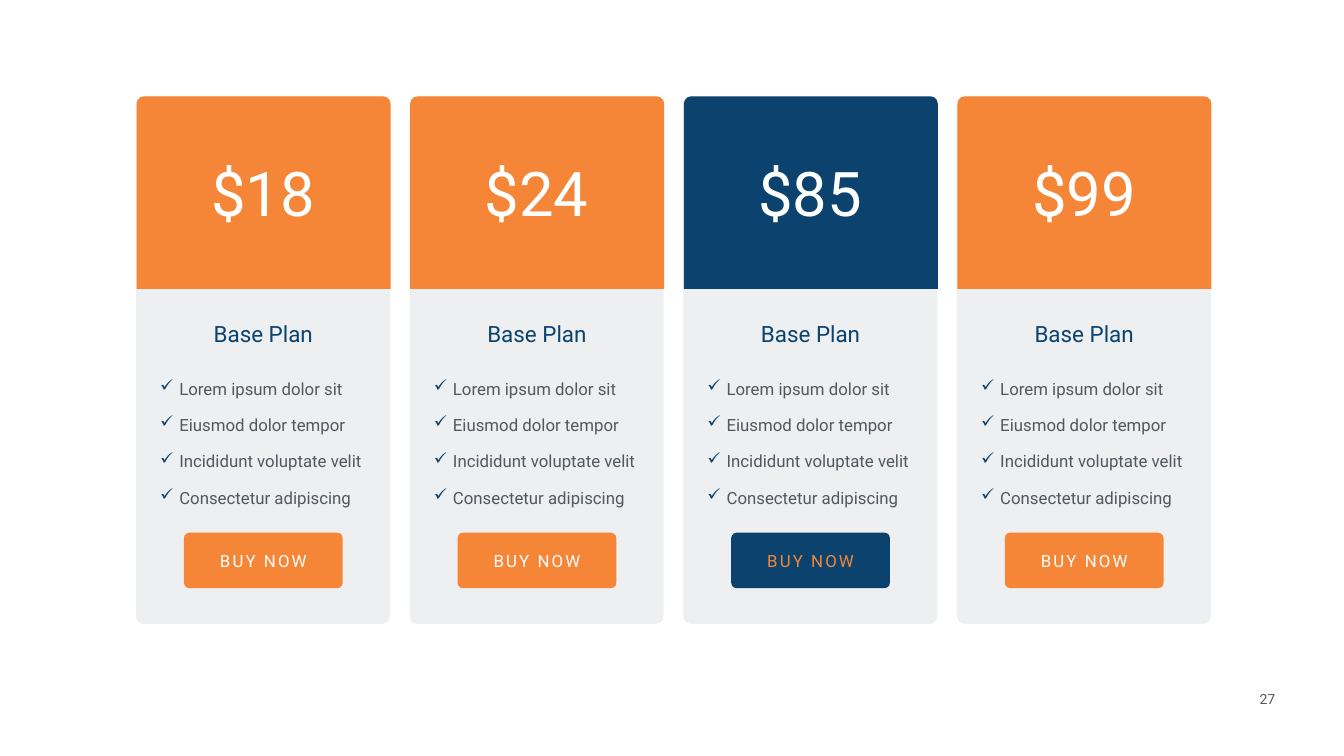
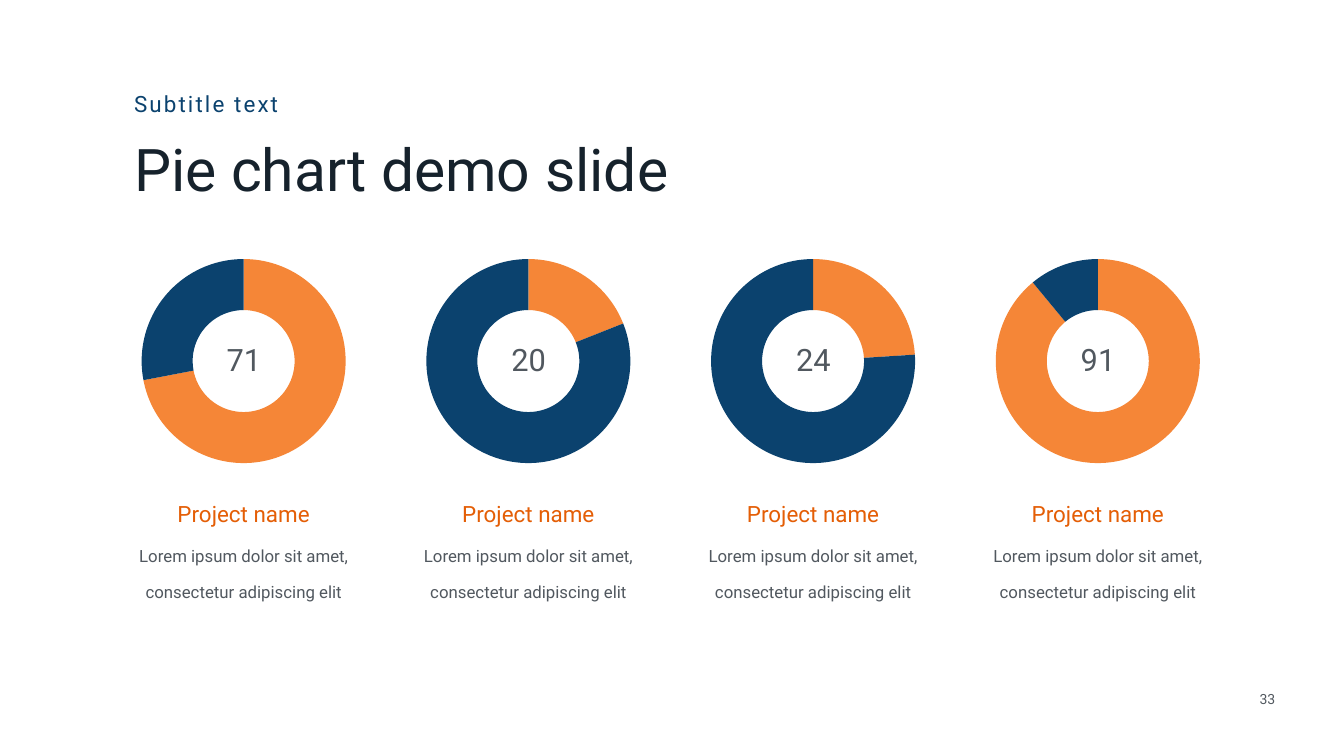
"""Build a pricing slide and a doughnut chart slide, each on four equal columns."""
from dataclasses import dataclass
from typing import NamedTuple

from lxml.etree import SubElement, fromstring
from pptx import Presentation
from pptx.chart.data import CategoryChartData
from pptx.dml.color import RGBColor
from pptx.enum.chart import XL_CHART_TYPE as ChartType
from pptx.enum.shapes import MSO_SHAPE as Preset
from pptx.enum.text import MSO_ANCHOR as Anchor, MSO_AUTO_SIZE as AutoSize, PP_ALIGN as Align
from pptx.oxml.ns import qn
from pptx.util import Inches, Pt

COLUMNS, ROWS = 26.67, 15
CELL = Inches(1)
FONT = "Roboto"
COLORS = {
    "white": "FEFFFF",
    "page": "FFFFFF",
    "orange": "F58637",
    "rust": "E45E06",
    "navy": "0B426E",
    "ink": "16222C",
    "body": "51585F",
    "card": "DBDEE1",
}
FEATURES = [
    "Lorem ipsum dolor sit",
    "Eiusmod dolor tempor",
    "Incididunt voluptate velit",
    "Consectetur adipiscing",
]
SUMMARY = "Lorem ipsum dolor sit amet, consectetur adipiscing elit"


class Area(NamedTuple):
    """A place on the grid, in columns and rows."""
    col: float
    row: float
    cols: float
    rows: float

    def shifted(self, cols: float) -> "Area":
        return self._replace(col=self.col + cols)

    def lengths(self) -> list[int]:
        return [round(cells * CELL) for cells in self]


@dataclass(frozen=True)
class TextStyle:
    """The look of a text block."""
    size: int
    color: str
    align: Align = Align.CENTER
    tracking: int = 0
    leading: float | None = None
    check: bool = False
    inset: tuple[float, float] = (0.04, 0.04)
    anchor: Anchor = Anchor.TOP
    grow: bool = False


class Plan(NamedTuple):
    """One pricing card."""
    price: str
    color: str = "orange"
    button_text: str = "white"


class Project(NamedTuple):
    """One doughnut with the figure printed in its hole."""
    label: str
    share: int


PLANS = [Plan("$18"), Plan("$24"), Plan("$85", "navy", "orange"), Plan("$99")]
PROJECTS = [Project("71", 72), Project("20", 19), Project("24", 24), Project("91", 89)]
PLAN_PITCH, PROJECT_PITCH = 5.43, 5.65

PAGE_NUMBER = TextStyle(20, "body", grow=True)
TITLE = TextStyle(84, "ink", Align.LEFT)
SUBTITLE = TextStyle(32, "navy", Align.LEFT, tracking=3, anchor=Anchor.MIDDLE, grow=True)
PLAN_NAME = TextStyle(32, "navy")
PRICE = TextStyle(88, "white")
FEATURE_LIST = TextStyle(24, "body", Align.LEFT, leading=1.8, check=True,
                         inset=(0.1, 0.05), grow=True)
PROJECT_NAME = TextStyle(32, "rust")
PROJECT_SUMMARY = TextStyle(24, "body", leading=1.8, inset=(0.1, 0.05), grow=True)
FIGURE = TextStyle(44, "body")


def rgb(color: str) -> RGBColor:
    """Look up a colour by name."""
    return RGBColor.from_string(COLORS[color])


def add_check(paragraph) -> None:
    """Give a paragraph a hanging check mark."""
    props = paragraph._p.get_or_add_pPr()
    props.set("marL", str(Inches(0.38)))
    props.set("indent", str(-Inches(0.38)))
    bullet_color = SubElement(props, qn("a:buClr"))
    SubElement(bullet_color, qn("a:srgbClr"), val=COLORS["navy"])
    SubElement(props, qn("a:buChar"), char="✓")


def add_text(shapes, area: Area, lines: list[str], style: TextStyle) -> None:
    """Write lines into an area, one paragraph each."""
    frame = shapes.add_textbox(*area.lengths()).text_frame
    frame.text = "\n".join(lines)
    frame.word_wrap = True
    frame.auto_size = AutoSize.SHAPE_TO_FIT_TEXT if style.grow else AutoSize.NONE
    frame.vertical_anchor = style.anchor
    side, end = map(Inches, style.inset)
    frame.margin_left = frame.margin_right = side
    frame.margin_top = frame.margin_bottom = end
    for paragraph in frame.paragraphs:
        if style.check:
            add_check(paragraph)
        paragraph.alignment = style.align
        if style.leading:
            paragraph.line_spacing = style.leading
        for run in paragraph.runs:
            run.font.name = FONT
            run.font.size = Pt(style.size)
            run.font.color.rgb = rgb(style.color)
            if style.tracking:
                run._r.get_or_add_rPr().set("spc", str(style.tracking * 100))


def add_panel(shapes, preset: Preset, area: Area, color: str,
              corners: list[float], opacity: int = 100) -> None:
    """Draw a filled panel with rounded corners."""
    panel = shapes.add_shape(preset, *area.lengths())
    for index, corner in enumerate(corners):
        panel.adjustments[index] = corner
    panel.shadow.inherit = False
    panel.line.fill.background()
    panel.fill.solid()
    panel.fill.fore_color.rgb = rgb(color)
    if opacity < 100:
        fill_color = panel._element.spPr.find(".//" + qn("a:srgbClr"))
        SubElement(fill_color, qn("a:alpha"), val=str(opacity * 1000))


def add_doughnut(shapes, area: Area, share: int) -> None:
    """Chart a share of one hundred as a ring."""
    data = CategoryChartData()
    data.categories = ["1", "2"]
    data.add_series("Series 1", [share, 100 - share])
    chart = shapes.add_chart(ChartType.DOUGHNUT, *area.lengths(), data).chart
    chart.has_legend = chart.has_title = False
    chart.font.name, chart.font.size = "Arial", Pt(10)
    chart.font.color.rgb = rgb("white")
    ring = chart.plots[0]
    ring.vary_by_categories = True
    ring._element.find(qn("c:holeSize")).set("val", "75")
    for index, color in enumerate(["orange", "navy"]):
        slice_format = ring.series[0].points[index].format
        slice_format.fill.solid()
        slice_format.fill.fore_color.rgb = rgb(color)
        slice_format.line.fill.background()
    set_plot_size(chart, 4.05 / area.cols, 4.05 / area.rows)


def set_plot_size(chart, width: float, height: float) -> None:
    """Centre the plot in its chart at the given shares of its size."""
    plot_area = chart._chartSpace.chart.plotArea
    for old_layout in plot_area.findall(qn("c:layout")):
        plot_area.remove(old_layout)
    layout = fromstring(
        '<c:layout xmlns:c="http://schemas.openxmlformats.org/drawingml/2006/chart"/>')
    manual = SubElement(layout, qn("c:manualLayout"))
    SubElement(manual, qn("c:layoutTarget"), val="inner")
    SubElement(manual, qn("c:xMode"), val="edge")
    SubElement(manual, qn("c:yMode"), val="edge")
    places = {"x": (1 - width) / 2, "y": (1 - height) / 2, "w": width, "h": height}
    for side, share in places.items():
        SubElement(manual, qn(f"c:{side}"), val=f"{share:.3f}")
    plot_area.insert(0, layout)


def add_plan(shapes, plan: Plan, shift: float) -> None:
    """Draw one pricing card."""
    button = TextStyle(24, plan.button_text, tracking=3, anchor=Anchor.MIDDLE, grow=True)
    add_panel(shapes, Preset.ROUNDED_RECTANGLE, Area(2.7, 1.91, 5.04, 10.47).shifted(shift),
              "card", [0.031], opacity=48)
    add_text(shapes, Area(2.7, 6.32, 5.05, 0.59).shifted(shift), ["Base Plan"], PLAN_NAME)
    add_text(shapes, Area(3.08, 7.14, 4.29, 3.01).shifted(shift), FEATURES, FEATURE_LIST)
    add_panel(shapes, Preset.ROUNDED_RECTANGLE, Area(3.65, 10.57, 3.15, 1.1).shifted(shift),
              plan.color, [0.097])
    add_text(shapes, Area(3.65, 10.88, 3.15, 0.49).shifted(shift), ["BUY NOW"], button)
    add_panel(shapes, Preset.ROUND_2_SAME_RECTANGLE,
              Area(2.71, 1.91, 5.04, 3.82).shifted(shift), plan.color, [0.039, 0])
    add_text(shapes, Area(2.7, 3.04, 5.04, 1.63).shifted(shift), [plan.price], PRICE)


def add_project(shapes, project: Project, shift: float) -> None:
    """Draw one doughnut with its caption."""
    add_doughnut(shapes, Area(2.62, 5.01, 4.43, 4.31).shifted(shift), project.share)
    add_text(shapes, Area(2.62, 10.46, 4.43, 1.55).shifted(shift), [SUMMARY], PROJECT_SUMMARY)
    add_text(shapes, Area(2.93, 9.89, 3.81, 0.87).shifted(shift), ["Project name"], PROJECT_NAME)
    add_text(shapes, Area(4.14, 6.73, 1.4, 0.87).shifted(shift), [project.label], FIGURE)


def add_page(deck, number: int):
    """Add a blank slide with its page number and return its shapes."""
    slide = deck.slides.add_slide(deck.slide_layouts[6])
    slide.background.fill.solid()
    slide.background.fill.fore_color.rgb = rgb("page")
    add_text(slide.shapes, Area(24.66, 13.66, 0.98, 0.42), [str(number)], PAGE_NUMBER)
    return slide.shapes


def main() -> None:
    """Build and save both slides."""
    deck = Presentation()
    deck.slide_width, deck.slide_height = round(COLUMNS * CELL), ROWS * CELL

    pricing = add_page(deck, 27)
    for index, plan in enumerate(PLANS):
        add_plan(pricing.add_group_shape().shapes, plan, index * PLAN_PITCH)

    projects = add_page(deck, 33)
    add_text(projects, Area(2.62, 2.59, 10.71, 1.73), ["Pie chart demo slide"], TITLE)
    add_text(projects, Area(2.62, 1.75, 6.12, 0.62), ["Subtitle text"], SUBTITLE)
    for index, project in enumerate(PROJECTS):
        add_project(projects.add_group_shape().shapes, project, index * PROJECT_PITCH)

    deck.save("out.pptx")


if __name__ == "__main__":
    main()
